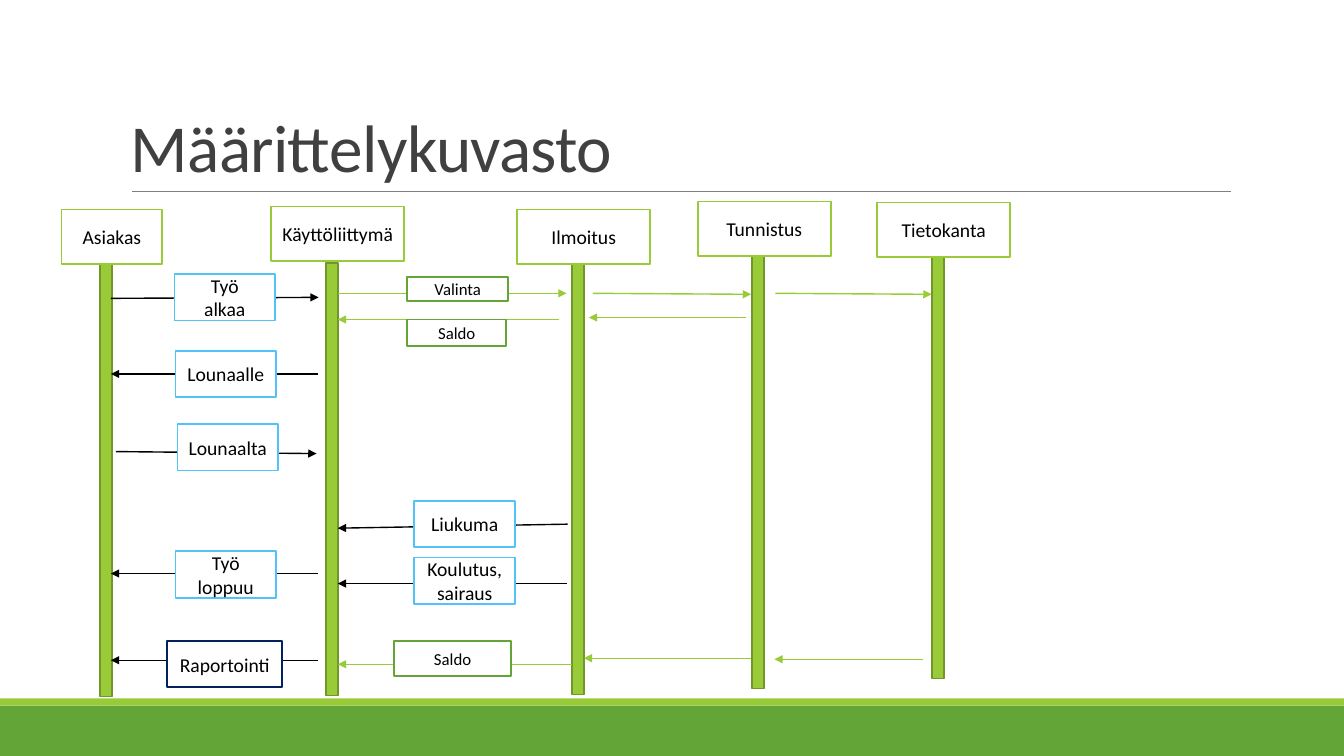
from dataclasses import dataclass

from pptx import Presentation
from pptx import util as u
from pptx.dml.color import RGBColor
from pptx.enum import shapes, text
from pptx.oxml import ns
from lxml import etree


@dataclass(frozen=True)
class Theme:
    font: str = "Calibri"
    title_size: float = 48
    label_size: float = 14
    small_size: float = 12
    outline: float = 1.25
    arrow: float = 1
    rule: float = 0.5
    white: str = "FFFFFF"
    black: str = "000000"
    title: str = "404040"
    gray: str = "808080"
    lime: str = "99CB38"
    olive: str = "719629"
    green: str = "63A537"
    sky: str = "51C3F9"
    navy: str = "002060"


@dataclass(frozen=True)
class Box:
    left: float
    top: float
    width: float
    height: float

    def inner(self, left, top, width, height):
        return Box(self.left + left, self.top + top, width, height)

    def lengths(self):
        return [u.Inches(n) for n in (self.left, self.top, self.width, self.height)]


THEME = Theme()
BAR_WIDTH, BAR_HEIGHT = 0.12, 4.29
HEADER_HEIGHT = 0.54

# name, header left, top and width, lifeline top (all within the diagram)
LIFELINES = [
    ("Asiakas", 0.01, 0.08, 1, 0.62),
    ("Käyttöliittymä", 2.09, 0.05, 1.32, 0.61),
    ("Ilmoitus", 4.53, 0.08, 1.32, 0.6),
    ("Tunnistus", 6.32, 0, 1.32, 0.54),
    ("Tietokanta", 8.1, 0.01, 1.32, 0.44),
]

# arrow start and end (all within the diagram), colour
ARROWS = [
    ((0.5, 0.96), (2.56, 0.95), THEME.black),
    ((2.55, 1.71), (0.5, 1.71), THEME.black),
    ((0.55, 2.48), (2.54, 2.5), THEME.black),
    ((2.55, 3.69), (0.5, 3.69), THEME.black),
    ((2.55, 4.55), (0.5, 4.55), THEME.black),
    ((5.03, 3.2), (2.75, 3.24), THEME.black),
    ((5.02, 3.79), (2.75, 3.79), THEME.black),
    ((2.75, 0.91), (5.02, 0.91), THEME.lime),
    ((4.94, 1.17), (2.75, 1.17), THEME.lime),
    ((5.07, 4.59), (2.75, 4.59), THEME.lime),
    ((5.28, 0.91), (6.85, 0.92), THEME.lime),
    ((6.8, 1.15), (5.24, 1.15), THEME.lime),
    ((6.85, 4.53), (5.19, 4.53), THEME.lime),
    ((7.09, 0.91), (8.64, 0.92), THEME.lime),
    ((8.55, 4.54), (7.08, 4.54), THEME.lime),
]

# message, place within the diagram, outline colour, type size
MESSAGES = [
    ("Työ\nalkaa", (1.13, 0.72, 1, 0.46), THEME.sky, THEME.label_size),
    ("Lounaalle", (1.14, 1.48, 1, 0.46), THEME.sky, THEME.label_size),
    ("Lounaalta", (1.16, 2.21, 1, 0.46), THEME.sky, THEME.label_size),
    ("Työ\nloppuu", (1.14, 3.47, 1, 0.46), THEME.sky, THEME.label_size),
    ("Raportointi", (1.06, 4.36, 1.14, 0.46), THEME.navy, THEME.label_size),
    ("Liukuma", (3.51, 2.97, 1, 0.46), THEME.sky, THEME.label_size),
    ("Koulutus, sairaus", (3.51, 3.53, 1, 0.46), THEME.sky, THEME.label_size),
    ("Valinta", (3.44, 0.75, 1, 0.24), THEME.green, THEME.small_size),
    ("Saldo", (3.44, 1.17, 0.98, 0.26), THEME.green, THEME.small_size),
    ("Saldo", (3.31, 4.36, 1.16, 0.35), THEME.green, THEME.small_size),
]


def color(value):
    return RGBColor.from_string(value)


def style_run(run, size, value):
    run.font.name = THEME.font
    run.font.size = u.Pt(size)
    run.font.color.rgb = color(value)


def add_rectangle(slide, box, fill, outline=None):
    shape = slide.shapes.add_shape(shapes.MSO_SHAPE.RECTANGLE, *box.lengths())
    shape.shadow.inherit = False
    shape.fill.solid()
    shape.fill.fore_color.rgb = color(fill)
    if outline:
        shape.line.color.rgb = color(outline)
        shape.line.width = u.Pt(THEME.outline)
    else:
        shape.line.fill.background()
    return shape


def add_label(slide, box, words, outline, size):
    frame = add_rectangle(slide, box, THEME.white, outline).text_frame
    frame.word_wrap = True
    frame.vertical_anchor = text.MSO_ANCHOR.MIDDLE
    frame.text = words
    for paragraph in frame.paragraphs:
        paragraph.alignment = text.PP_ALIGN.CENTER
        for run in paragraph.runs:
            style_run(run, size, THEME.black)


def add_line(slide, start, end, value, width, arrowhead=False):
    points = [u.Inches(n) for n in (*start, *end)]
    line = slide.shapes.add_connector(shapes.MSO_CONNECTOR.STRAIGHT, *points)
    line.line.color.rgb = color(value)
    line.line.width = u.Pt(width)
    if arrowhead:
        etree.SubElement(line.line._get_or_add_ln(), ns.qn("a:tailEnd"), type="triangle")
    etree.SubElement(line._element.spPr, ns.qn("a:effectLst"))


def add_footer_bands(slide, box):
    strip = 0.07
    add_rectangle(slide, box.inner(0, strip, box.width, box.height - strip), THEME.green)
    add_rectangle(slide, box.inner(0, 0, box.width, strip), THEME.lime)


def add_title(slide, box, words):
    # Rule under the title
    bottom = box.top + box.height
    left = box.left + 0.11
    add_line(slide, (left, bottom), (left + 10.9, bottom), THEME.gray, THEME.rule)
    # Title text
    frame = slide.shapes.add_textbox(*box.lengths()).text_frame
    frame.word_wrap = True
    frame.vertical_anchor = text.MSO_ANCHOR.BOTTOM
    frame.text = words
    paragraph = frame.paragraphs[0]
    paragraph.line_spacing = 0.85
    run = paragraph.runs[0]
    style_run(run, THEME.title_size, THEME.title)
    run.font._element.set("spc", "-50")


def add_sequence_diagram(slide, box):
    # Lifelines: each bar ends at the centre of its header
    for name, left, top, width, bar_top in LIFELINES:
        bar = box.inner(left + width / 2 - BAR_WIDTH, bar_top, BAR_WIDTH, BAR_HEIGHT)
        add_rectangle(slide, bar, THEME.lime, THEME.olive)
        header = box.inner(left, top, width, HEADER_HEIGHT)
        add_label(slide, header, name, THEME.lime, THEME.label_size)
    # Arrows between lifelines
    for start, end, value in ARROWS:
        ends = [(box.left + x, box.top + y) for x, y in (start, end)]
        add_line(slide, *ends, value, THEME.arrow, arrowhead=True)
    # Message labels on the arrows
    for words, place, outline, size in MESSAGES:
        add_label(slide, box.inner(*place), words, outline, size)


def main():
    presentation = Presentation()
    presentation.slide_width = u.Inches(13.33)
    presentation.slide_height = u.Inches(7.5)
    slide = presentation.slides.add_slide(presentation.slide_layouts[6])
    add_footer_bands(slide, Box(0, 6.93, 13.33, 0.57))
    add_title(slide, Box(1.2, 0.31, 11, 1.59), "Määrittelykuvasto")
    add_sequence_diagram(slide, Box(0.6, 2, 9.42, 4.91))
    presentation.save("out.pptx")


if __name__ == "__main__":
    main()
